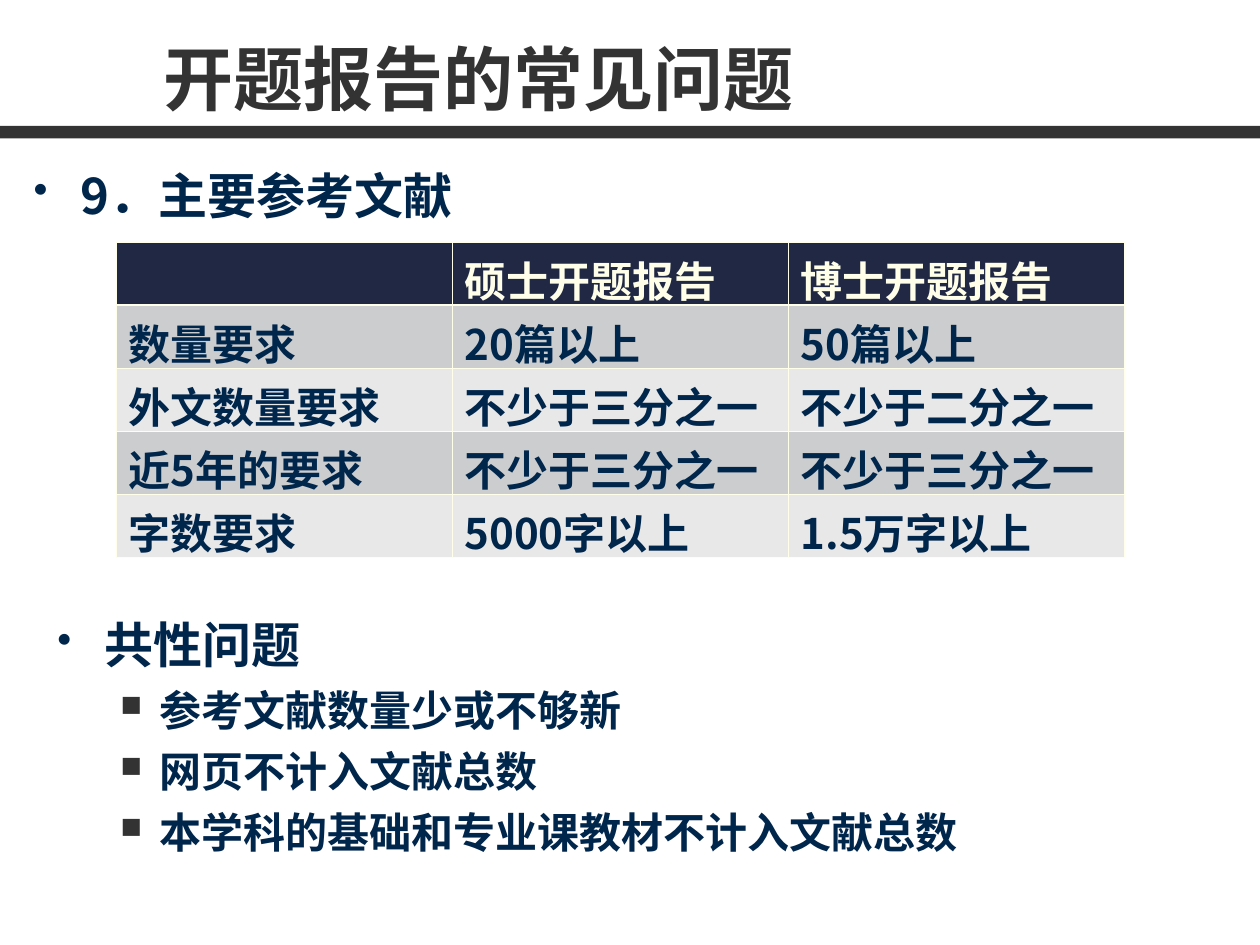
from lxml.etree import SubElement
from pptx import Presentation
from pptx.dml.color import RGBColor
from pptx.enum.shapes import MSO_SHAPE as Shape
from pptx.enum.text import MSO_ANCHOR as Anchor
from pptx.oxml import parse_xml
from pptx.oxml.ns import nsdecls, qn
from pptx.util import Cm, Pt

FONT = "Noto Sans CJK SC"
COLORS = {
    "dark": "333333",
    "navy": "00264C",
    "header": "212844",
    "cream": "FFFFE9",
    "band": "CCCDCF",
    "light": "E8E8E9",
}
REQUIREMENTS = [
    ["", "硕士开题报告", "博士开题报告"],
    ["数量要求", "20篇以上", "50篇以上"],
    ["外文数量要求", "不少于三分之一", "不少于二分之一"],
    ["近5年的要求", "不少于三分之一", "不少于三分之一"],
    ["字数要求", "5000字以上", "1.5万字以上"],
]
PROBLEMS = [
    "参考文献数量少或不够新",
    "网页不计入文献总数",
    "本学科的基础和专业课教材不计入文献总数",
]
TOPIC = {"bullet": "•", "bullet_size": 85, "indent": 0.95, "hanging": 0.95}
DETAIL = {"bullet": "■", "bullet_size": 70, "bullet_color": "dark",
          "indent": 2.06, "hanging": 0.79, "level": 1, "size": 24, "before": 6}


def rgb(name):
    return RGBColor.from_string(COLORS[name])


def add_bullet(paragraph, character, size, color, indent, hanging):
    properties = paragraph._p.get_or_add_pPr()
    properties.set("marL", str(Cm(indent)))
    properties.set("indent", str(-Cm(hanging)))
    bullet_color = SubElement(properties, qn("a:buClr"))
    SubElement(bullet_color, qn("a:srgbClr"), val=COLORS[color])
    SubElement(properties, qn("a:buSzPct"), val=str(size * 1000))
    SubElement(properties, qn("a:buChar"), char=character)


def write(frame, text, *, size=28, color="navy", level=0, before=0,
          line_spacing=None, bullet=None, bullet_size=100,
          bullet_color="navy", indent=0, hanging=0):
    """Fill the first paragraph of a frame, or append one if it has text."""
    paragraph = frame.add_paragraph() if frame.text else frame.paragraphs[0]
    paragraph.level = level
    if bullet:
        add_bullet(paragraph, bullet, bullet_size, bullet_color, indent, hanging)
    paragraph.space_before = Pt(before)
    if line_spacing:
        paragraph.line_spacing = line_spacing
    run = paragraph.add_run()
    run.text = text
    font = run.font
    font.name, font.size, font.bold = FONT, Pt(size), True
    font.color.rgb = rgb(color)
    SubElement(run._r.get_or_add_rPr(), qn("a:ea"), typeface=FONT)


def add_text_frame(slide, left, top, width, height, anchor=Anchor.TOP):
    box = slide.shapes.add_textbox(Cm(left), Cm(top), Cm(width), Cm(height))
    frame = box.text_frame
    frame.word_wrap = True
    frame.vertical_anchor = anchor
    return frame


def add_rule(slide, left, top, width, height):
    rule = slide.shapes.add_shape(
        Shape.RECTANGLE, Cm(left), Cm(top), Cm(width), Cm(height))
    rule.shadow.inherit = False
    rule.fill.solid()
    rule.fill.fore_color.rgb = rgb("dark")
    rule.line.fill.background()


def set_borders(cell, **widths):
    properties = cell._tc.get_or_add_tcPr()
    for position, side in enumerate("LRTB"):
        width = Pt(widths.get(side, 0.45))
        properties.insert(position, parse_xml(
            f'<a:ln{side} {nsdecls("a")} w="{width}"><a:solidFill>'
            f'<a:srgbClr val="{COLORS["cream"]}"/></a:solidFill></a:ln{side}>'))


def add_requirements_table(slide, left, top, width, row_height):
    rows, columns = len(REQUIREMENTS), len(REQUIREMENTS[0])
    table = slide.shapes.add_table(
        rows, columns, Cm(left), Cm(top), Cm(width), Cm(row_height * rows)).table
    for row, texts in enumerate(REQUIREMENTS):
        fill = "header" if row == 0 else "band" if row % 2 else "light"
        heavy = {0: {"B": 1.47}, 1: {"T": 1.47}}.get(row, {})
        for column, text in enumerate(texts):
            cell = table.cell(row, column)
            cell.fill.solid()
            cell.fill.fore_color.rgb = rgb(fill)
            set_borders(cell, **heavy)
            if text:
                write(cell.text_frame, text, size=24,
                      color="navy" if row else "cream")


def main():
    presentation = Presentation()
    presentation.slide_width, presentation.slide_height = Cm(25.4), Cm(19.05)
    slide = presentation.slides.add_slide(presentation.slide_layouts[6])

    # Title and rule
    add_rule(slide, 0, 2.54, 25.4, 0.25)
    title = add_text_frame(slide, 3.05, 0.43, 21.59, 2.11, Anchor.BOTTOM)
    write(title, "开题报告的常见问题", size=40, color="dark")

    # Section heading and requirements
    heading = add_text_frame(slide, 0.43, 2.97, 24.56, 2.34)
    write(heading, "9．主要参考文献", line_spacing=1.2, **TOPIC)
    add_requirements_table(slide, 2.34, 4.88, 20.32, 1.27)

    # Common problems
    problems = add_text_frame(slide, 0.91, 12.27, 24.56, 6.15)
    write(problems, "共性问题", **TOPIC)
    for problem in PROBLEMS:
        write(problems, problem, **DETAIL)

    presentation.save("out.pptx")


if __name__ == "__main__":
    main()
